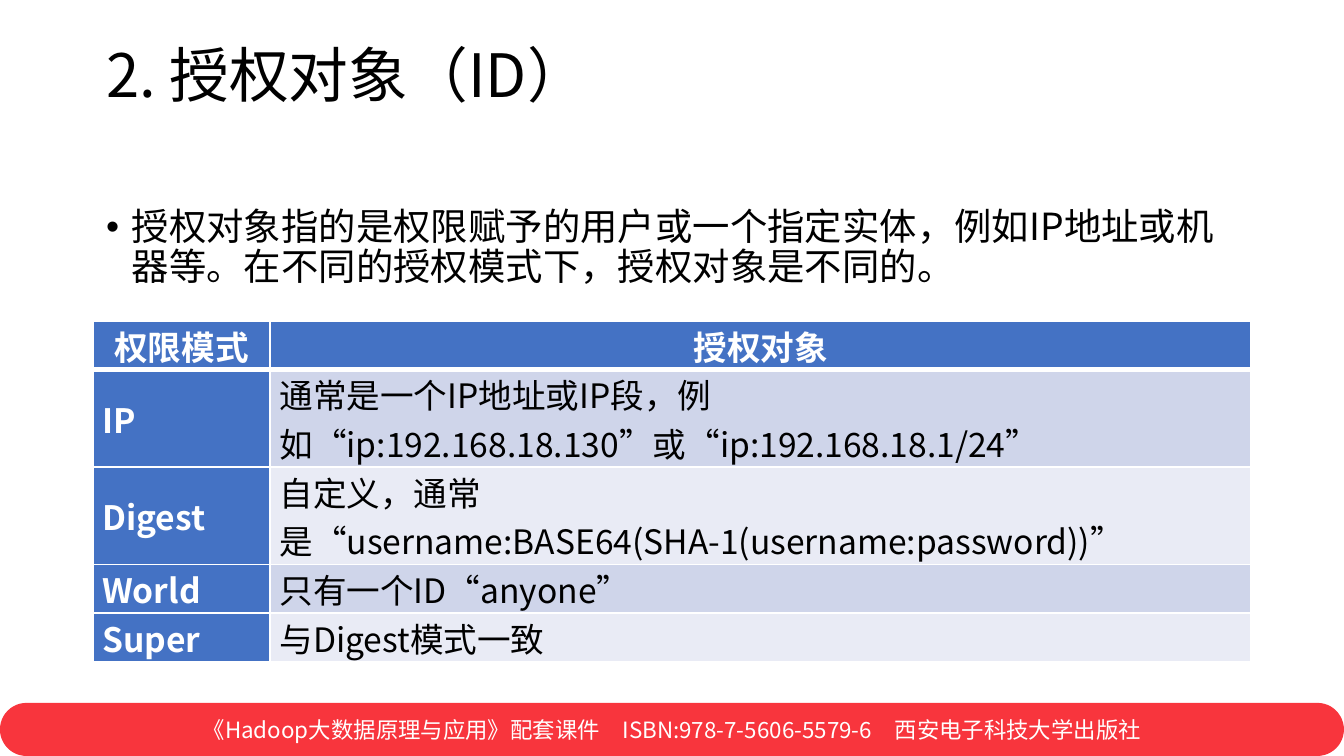
from dataclasses import dataclass

from lxml import etree
from pptx import Presentation
from pptx.dml.color import RGBColor
from pptx.enum.shapes import MSO_SHAPE
from pptx.enum.text import MSO_ANCHOR, MSO_AUTO_SIZE, PP_ALIGN
from pptx.oxml.ns import qn
from pptx.util import Inches, Pt

FONT = "Noto Sans CJK SC"
WHITE = RGBColor(0xFF, 0xFF, 0xFF)
BLACK = RGBColor(0x00, 0x00, 0x00)
RED = RGBColor(0xF8, 0x35, 0x3D)
BLUE = RGBColor(0x44, 0x72, 0xC4)
BANDS = (RGBColor(0xCF, 0xD5, 0xEA), RGBColor(0xE9, 0xEB, 0xF5))

LEFT, CENTER = PP_ALIGN.LEFT, PP_ALIGN.CENTER
TOP, MIDDLE = MSO_ANCHOR.TOP, MSO_ANCHOR.MIDDLE
ROUNDED = MSO_SHAPE.ROUNDED_RECTANGLE
NO_AUTOFIT = MSO_AUTO_SIZE.NONE

SLIDE_WIDTH = 10
SLIDE_HEIGHT = SLIDE_WIDTH * 9 / 16
MARGIN, CONTENT_WIDTH = 0.69, 8.62
LINE_HEIGHT = 0.36
COLUMN_WIDTHS = (1.32, 7.3)


@dataclass(frozen=True)
class ModeRow:
    mode: str
    target: str
    lines: int = 1


HEADER = ModeRow("权限模式", "授权对象")
MODES = (
    ModeRow("IP", "通常是一个IP地址或IP段，例如“ip:192.168.18.130”或“ip:192.168.18.1/24”", 2),
    ModeRow("Digest", "自定义，通常是“username:BASE64(SHA-1(username:password))”", 2),
    ModeRow("World", "只有一个ID“anyone”"),
    ModeRow("Super", "与Digest模式一致"),
)


def write_text(frame, text: str, *, size: float, color: RGBColor, bold: bool = False,
               align=LEFT, line_spacing: float = 1.0) -> None:
    paragraph = frame.paragraphs[0]
    paragraph.alignment = align
    paragraph.line_spacing = line_spacing
    paragraph.space_before = Pt(0)
    run = paragraph.add_run()
    run.text = text
    run.font.size = Pt(size)
    run.font.bold = bold
    run.font.color.rgb = color
    run.font.name = FONT
    etree.SubElement(run.font._element, qn("a:ea"), typeface=FONT)


def place(shape, top: float, height: float) -> None:
    shape.left, shape.top = Inches(MARGIN), Inches(top)
    shape.width, shape.height = Inches(CONTENT_WIDTH), Inches(height)
    shape.text_frame.word_wrap = True
    shape.text_frame.auto_size = NO_AUTOFIT
    shape.text_frame.vertical_anchor = TOP


def add_bullet(paragraph, indent: float) -> None:
    properties = paragraph._p.get_or_add_pPr()
    properties.set("marL", str(Inches(indent)))
    properties.set("indent", str(-Inches(indent)))
    etree.SubElement(properties, qn("a:buFont"), typeface="Arial")
    etree.SubElement(properties, qn("a:buChar"), char="•")


def add_borders(cell, widths: dict[str, float]) -> None:
    properties = cell._tc.get_or_add_tcPr()
    for side, width in widths.items():
        line = etree.SubElement(properties, qn(f"a:ln{side}"), w=str(Pt(width)))
        fill = etree.SubElement(line, qn("a:solidFill"))
        etree.SubElement(fill, qn("a:srgbClr"), val=str(WHITE))


def fill_cell(cell, text: str, fill: RGBColor, color: RGBColor, *, bold: bool,
              align=LEFT, top_line: float = 1, bottom_line: float = 1) -> None:
    cell.margin_left = cell.margin_right = Inches(0.07)
    cell.margin_top = cell.margin_bottom = 0
    cell.vertical_anchor = MIDDLE
    add_borders(cell, {"L": 1, "R": 1, "T": top_line, "B": bottom_line})
    cell.fill.solid()
    cell.fill.fore_color.rgb = fill
    write_text(cell.text_frame, text, size=18, color=color, bold=bold, align=align)


def add_mode_table(slide) -> None:
    rows = (HEADER, *MODES)
    height = LINE_HEIGHT * sum(row.lines for row in rows)
    table = slide.shapes.add_table(
        len(rows), len(COLUMN_WIDTHS), Inches(MARGIN), Inches(2.39),
        Inches(CONTENT_WIDTH), Inches(height)).table
    for column, width in zip(table.columns, COLUMN_WIDTHS):
        column.width = Inches(width)
    for index, row in enumerate(rows):
        table.rows[index].height = Inches(LINE_HEIGHT * row.lines)
        mode_cell, target_cell = table.cell(index, 0), table.cell(index, 1)
        if row is HEADER:
            for cell, text in ((mode_cell, row.mode), (target_cell, row.target)):
                fill_cell(cell, text, BLUE, WHITE, bold=True, align=CENTER, bottom_line=3)
        else:
            top_line = 3 if index == 1 else 1
            fill_cell(mode_cell, row.mode, BLUE, WHITE, bold=True, top_line=top_line)
            fill_cell(target_cell, row.target, BANDS[(index - 1) % 2], BLACK,
                      bold=False, top_line=top_line)


def add_footer(slide) -> None:
    top = 5.23
    footer = slide.shapes.add_shape(ROUNDED, 0, Inches(top), Inches(SLIDE_WIDTH),
                                    Inches(SLIDE_HEIGHT - top))
    footer.adjustments[0] = 0.5
    footer.shadow.inherit = False
    footer.fill.solid()
    footer.fill.fore_color.rgb = RED
    footer.line.fill.background()
    footer.text_frame.word_wrap = True
    footer.text_frame.vertical_anchor = MIDDLE
    write_text(footer.text_frame,
               "《Hadoop大数据原理与应用》配套课件　ISBN:978-7-5606-5579-6　西安电子科技大学出版社",
               size=12, color=WHITE, align=CENTER)


def main() -> None:
    presentation = Presentation()
    presentation.slide_width = Inches(SLIDE_WIDTH)
    presentation.slide_height = Inches(SLIDE_HEIGHT)
    slide = presentation.slides.add_slide(presentation.slide_layouts[1])
    title, body = slide.shapes.title, slide.placeholders[1]

    add_footer(slide)
    place(title, 0.3, 1.09)
    title.text_frame.margin_top = Inches(0.04)
    write_text(title.text_frame, "2. 授权对象（ID）", size=32, color=BLACK, line_spacing=0.9)

    place(body, 1.5, 3.57)
    add_bullet(body.text_frame.paragraphs[0], 0.19)
    write_text(body.text_frame,
               "授权对象指的是权限赋予的用户或一个指定实体，例如IP地址或机器等。"
               "在不同的授权模式下，授权对象是不同的。",
               size=20, color=BLACK, line_spacing=0.9)
    add_mode_table(slide)
    presentation.save("out.pptx")


if __name__ == "__main__":
    main()
